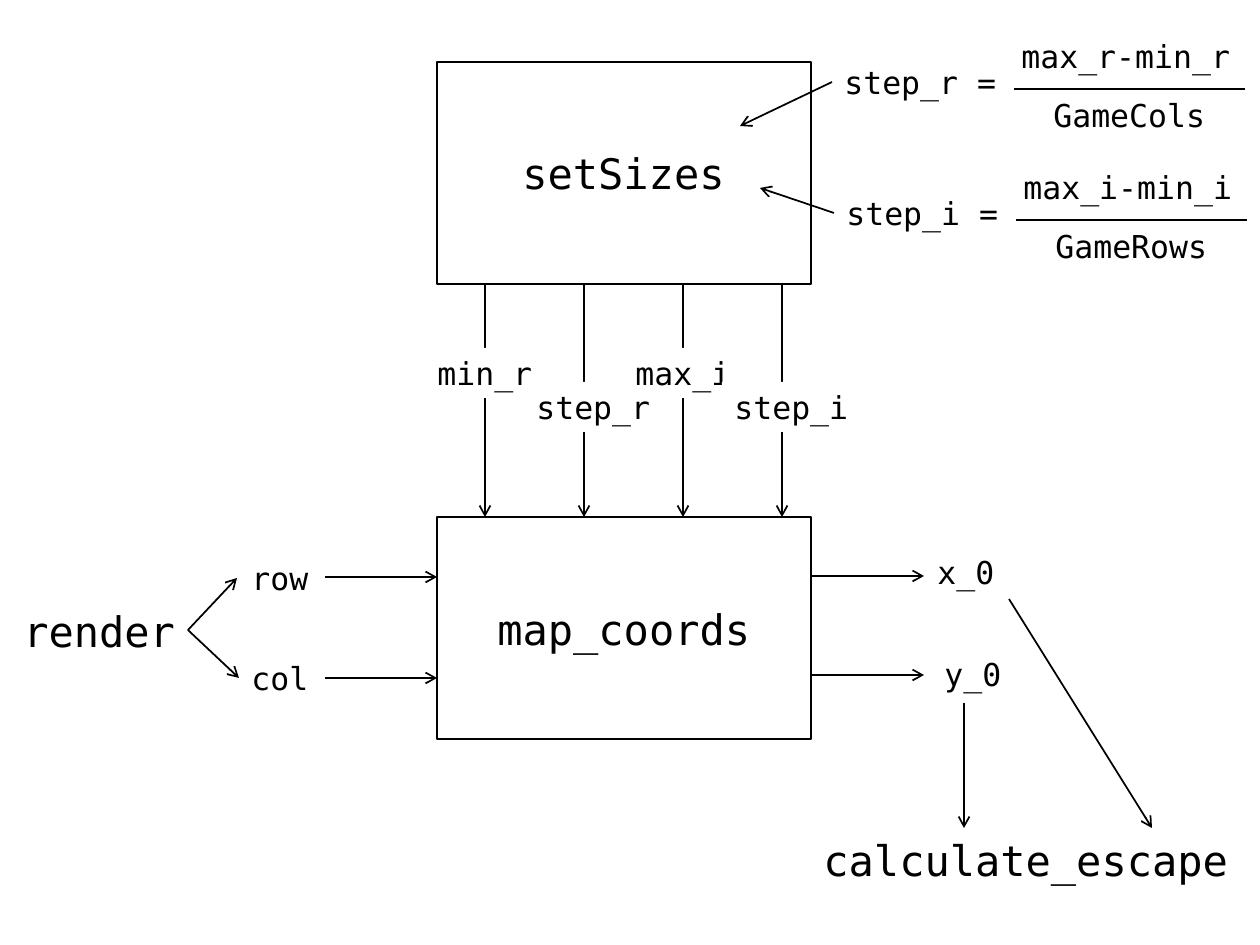
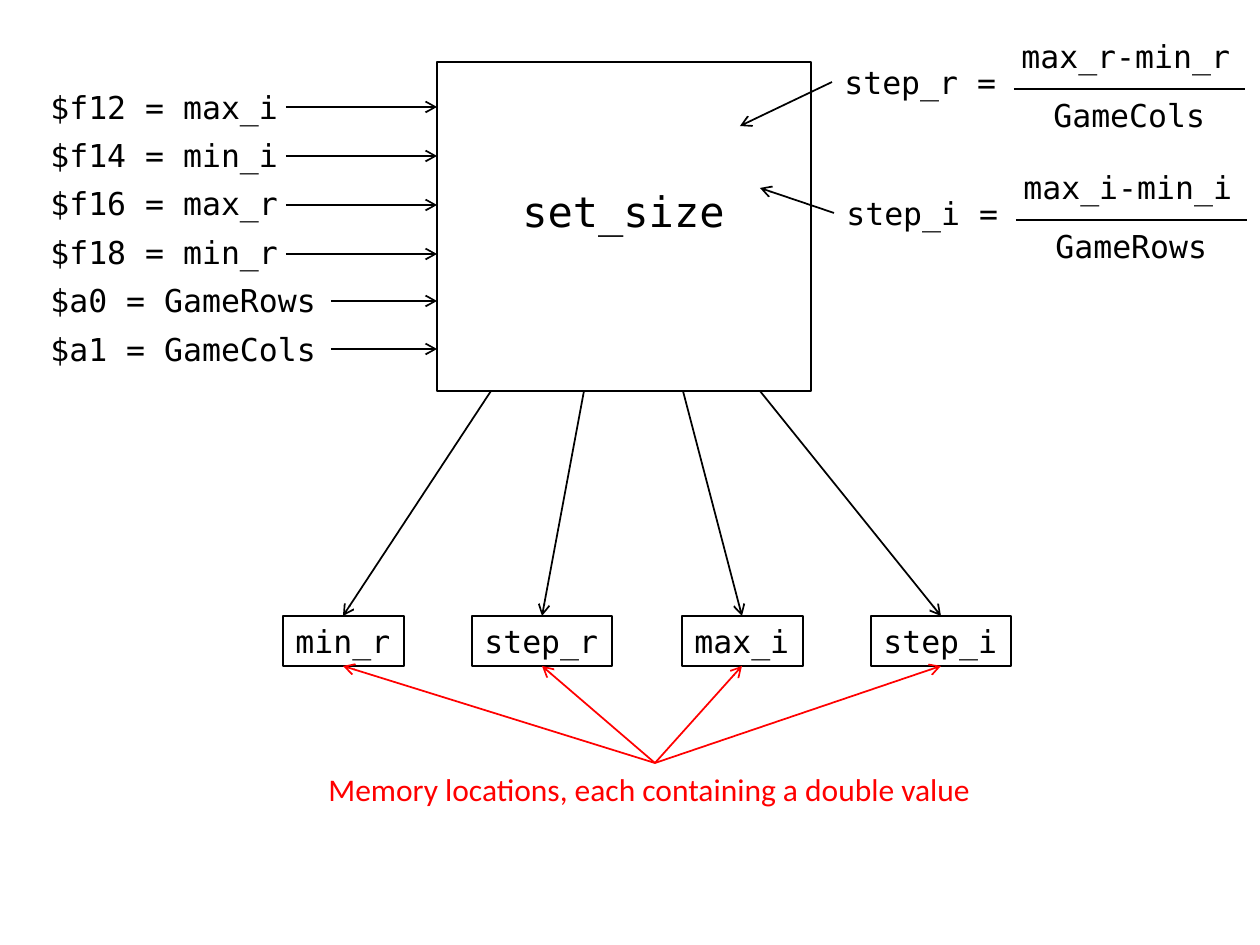
from lxml.etree import SubElement
from pptx import Presentation
from pptx.dml.color import RGBColor
from pptx.enum.shapes import MSO_CONNECTOR, MSO_SHAPE
from pptx.enum.text import MSO_AUTO_SIZE
from pptx.oxml.ns import qn
from pptx.util import Pt

PX = 914400 / 126
COLORS = {"ink": "000000", "paper": "FFFFFF", "note": "FF0000"}
CODE_FONT = "DejaVu Sans Mono"
LABEL_HEIGHT = 50
NAME_HEIGHT = 63
BOX_LEFT, BOX_RIGHT = 437, 811
BOX_TOP, BOX_HEIGHT = 62, 222


def add_label(slide, text, left, top, width, size=18, fill=True,
              outline=False, font=CODE_FONT, color="ink"):
    height = LABEL_HEIGHT if size == 18 else NAME_HEIGHT
    label = slide.shapes.add_textbox(
        *(round(length * PX) for length in (left, top, width, height)))
    if fill:
        label.fill.solid()
        label.fill.fore_color.rgb = RGBColor.from_string(COLORS["paper"])
    if outline:
        label.line.color.rgb = RGBColor.from_string(COLORS["ink"])
        label.line.width = Pt(0.75)
    frame = label.text_frame
    frame.word_wrap = False
    frame.auto_size = MSO_AUTO_SIZE.SHAPE_TO_FIT_TEXT
    paragraph = frame.paragraphs[0]
    paragraph.text = text
    paragraph.font.name = font
    paragraph.font.size = Pt(size)
    paragraph.font.color.rgb = RGBColor.from_string(COLORS[color])


def add_line(slide, start, end, arrow=True, color="ink"):
    connector = slide.shapes.add_connector(
        MSO_CONNECTOR.STRAIGHT,
        *(round(length * PX) for length in (*start, *end)))
    connector.line.color.rgb = RGBColor.from_string(COLORS[color])
    connector.line.width = Pt(1)
    properties = connector.element.spPr
    if arrow:
        SubElement(properties.find(qn("a:ln")), qn("a:tailEnd"), type="arrow")
    SubElement(properties, qn("a:effectLst"))


presentation = Presentation()
presentation.slide_width = round(1260 * PX)
presentation.slide_height = round(945 * PX)
blank_layout = presentation.slide_layouts[6]
flow_slide = presentation.slides.add_slide(blank_layout)
memory_slide = presentation.slides.add_slide(blank_layout)

# Function boxes: slide, name, box top, box height, name left, top and width
functions = [
    (flow_slide, "map_coords", 517, BOX_HEIGHT, 485, 597, 280),
    (flow_slide, "setSizes", BOX_TOP, BOX_HEIGHT, 510, 141, 229),
    (memory_slide, "set_size", BOX_TOP, 329, 510, 179, 229),
]
for slide, name, top, height, name_left, name_top, name_width in functions:
    box = slide.shapes.add_shape(
        MSO_SHAPE.RECTANGLE,
        *(round(length * PX)
          for length in (BOX_LEFT, top, BOX_RIGHT - BOX_LEFT, height)))
    box.shadow.inherit = False
    box.fill.background()
    box.line.color.rgb = RGBColor.from_string(COLORS["ink"])
    box.line.width = Pt(0.75)
    add_label(slide, name, name_left, name_top, name_width, 24, fill=False)

# Step formulas on both slides: axis, divisor, offset, arrow tip
formulas = [
    ("r", "GameCols", 0, 0, (740, 126)),
    ("i", "GameRows", 2, 131, (760, 188)),
]
for slide in (flow_slide, memory_slide):
    for axis, divisor, across, down, tip in formulas:
        add_label(slide, f"max_{axis}-min_{axis}", 1009 + across, 31 + down, 236)
        add_label(slide, f"step_{axis} =", 832 + across, 57 + down, 178)
        add_label(slide, divisor, 1041 + across, 90 + down, 178)
        add_line(slide, (1014 + across, 89 + down), (1245 + across, 89 + down),
                 arrow=False)
        add_line(slide, (832 + across, 82 + down), tip)

# Slide 1: values passed from setSizes to map_coords
value_widths = {"min_r": 121, "step_r": 140, "max_i": 121, "step_i": 140}
for index, (value, width) in enumerate(value_widths.items()):
    x = 485 + 99 * index
    add_line(flow_slide, (x, BOX_TOP + BOX_HEIGHT), (x, 517))
    add_label(flow_slide, value, x - 60, 348 + 34 * (index % 2), width)

# Slide 1: inputs and outputs of map_coords
ports = [
    ("y_0", 932, 649, BOX_RIGHT, 924, 675),
    ("x_0", 925, 547, BOX_RIGHT, 924, 576),
    ("row", 239, 553, 325, BOX_LEFT, 577),
    ("col", 239, 653, 325, BOX_LEFT, 678),
]
for value, left, top, start_x, end_x, y in ports:
    add_line(flow_slide, (start_x, y), (end_x, y))
    add_label(flow_slide, value, left, top, 84)

# Slide 1: caller and receiver
add_label(flow_slide, "render", 11, 599, 178, 24, fill=False)
add_label(flow_slide, "calculate_escape", 811, 828, 432, 24, fill=False)
for start, end in [((188, 630), (237, 578)), ((188, 630), (239, 678)),
                   ((1009, 599), (1152, 828)), ((964, 703), (964, 828))]:
    add_line(flow_slide, start, end)

# Slide 2: register arguments
arguments = [
    ("$f12 = max_i", 107), ("$f14 = min_i", 156), ("$f16 = max_r", 205),
    ("$f18 = min_r", 254), ("$a0 = GameRows", 301), ("$a1 = GameCols", 349),
]
for index, (argument, y) in enumerate(arguments):
    width, start_x = (255, 286) if argument.startswith("$f") else (292, 331)
    add_label(memory_slide, argument, 38, 82 + index * 242 // 5, width, fill=False)
    add_line(memory_slide, (start_x, y), (BOX_LEFT, y))

# Slide 2: memory locations and their note
add_label(memory_slide, "Memory locations, each containing a double value",
          316, 764, 675, fill=False, font="Calibri", color="note")
outlets = (491, 584, 683, 760)
centers = (343, 542, 742, 941)
for (value, width), outlet, center in zip(value_widths.items(), outlets, centers):
    add_line(memory_slide, (outlet, 391), (center, 616))
    add_label(memory_slide, value, center - width // 2, 616, width, outline=True)
    add_line(memory_slide, (655, 763), (center, 616 + LABEL_HEIGHT), color="note")

presentation.save("out.pptx")
